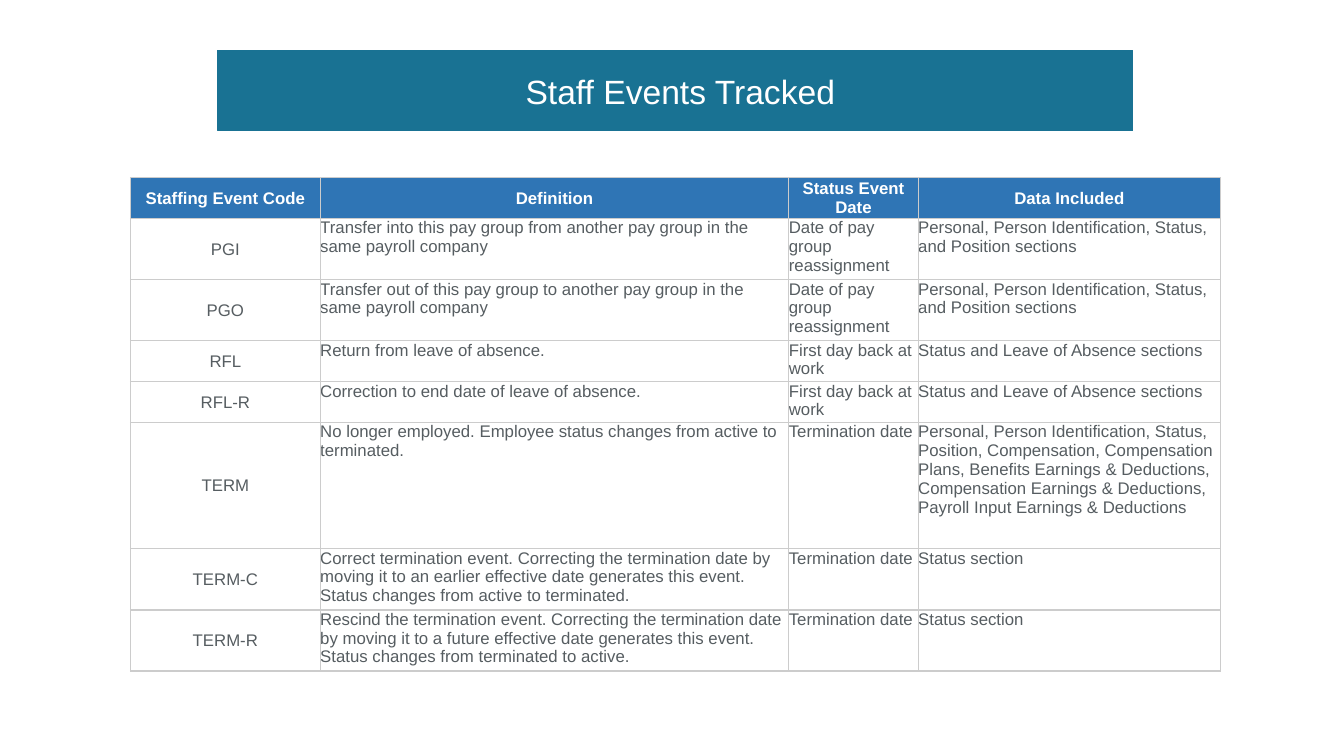
from dataclasses import dataclass

from lxml import etree
from pptx import Presentation, util as u
from pptx.dml.color import RGBColor
from pptx.enum import text
from pptx.oxml import ns


@dataclass(frozen=True)
class Theme:
    """Colours, font and type sizes of the slide."""
    band: str = "197293"
    head: str = "2F75B5"
    body: str = "565D61"
    white: str = "FFFFFF"
    rule: str = "CCCCCC"
    font: str = "Arial"
    big: int = 24
    small: int = 12


THEME = Theme()
TITLE = "Staff Events Tracked"
HEADS = ("Staffing Event Code", "Definition", "Status Event Date", "Data Included")
GROUP = ("Date of pay group reassignment",
         "Personal, Person Identification, Status, and Position sections")
LEAVE = ("First day back at work", "Status and Leave of Absence sections")
TERM = "Termination date"
EVENTS = [
    ("PGI", "Transfer into this pay group from another pay group in the same "
     "payroll company", *GROUP),
    ("PGO", "Transfer out of this pay group to another pay group in the same "
     "payroll company", *GROUP),
    ("RFL", "Return from leave of absence.", *LEAVE),
    ("RFL-R", "Correction to end date of leave of absence.", *LEAVE),
    ("TERM", "No longer employed. Employee status changes from active to terminated.",
     TERM, "Personal, Person Identification, Status, Position, Compensation, "
     "Compensation Plans, Benefits Earnings & Deductions, Compensation Earnings "
     "& Deductions, Payroll Input Earnings & Deductions"),
    ("TERM-C", "Correct termination event. Correcting the termination date by moving "
     "it to an earlier effective date generates this event. Status changes from "
     "active to terminated.", TERM, "Status section"),
    ("TERM-R", "Rescind the termination event. Correcting the termination date by "
     "moving it to a future effective date generates this event. Status changes from "
     "terminated to active.", TERM, "Status section"),
]
WIDTHS = (4.78, 11.81, 3.26, 7.62)
TWO, THREE, TALL = 1.03, 1.54, 3.18
HEIGHTS = (TWO, THREE, THREE, TWO, TWO, TALL, THREE, THREE)


def paint(fill, tone):
    """Give a fill one solid colour."""
    fill.solid()
    fill.fore_color.rgb = RGBColor.from_string(tone)


def write(frame, words, size, tone, bold=False, mid=True):
    """Put words into a text frame and format them."""
    frame.text = words
    para = frame.paragraphs[0]
    para.alignment = text.PP_ALIGN.CENTER if mid else text.PP_ALIGN.LEFT
    font = para.runs[0].font
    font.name, font.size, font.bold = THEME.font, u.Pt(size), bold
    font.color.rgb = RGBColor.from_string(tone)


def edge(cell):
    """Draw a thin rule on all four sides of a cell."""
    props = cell._tc.get_or_add_tcPr()
    for spot, side in enumerate(("lnL", "lnR", "lnT", "lnB")):
        line = etree.Element(ns.qn("a:" + side), w=str(u.Pt(1)))
        fill = etree.SubElement(line, ns.qn("a:solidFill"))
        etree.SubElement(fill, ns.qn("a:srgbClr"), val=THEME.rule)
        props.insert(spot, line)


def add_title(slide):
    """Turn the title placeholder into the coloured band."""
    band = slide.shapes.title
    band.left, band.top = u.Cm(5.49), u.Cm(1.27)
    band.width, band.height = u.Cm(23.06), u.Cm(2.03)
    paint(band.fill, THEME.band)
    paint(band.line.fill, THEME.band)
    band.line.width = u.Pt(0.75)
    frame = band.text_frame
    write(frame, TITLE, THEME.big, THEME.white)
    frame.auto_size = text.MSO_AUTO_SIZE.NONE
    frame.vertical_anchor = text.MSO_ANCHOR.MIDDLE
    frame.margin_left, frame.margin_right = u.Cm(0.25), 0
    frame.margin_top = frame.margin_bottom = u.Cm(0.13)


def add_events(slide):
    """Add the table of events under the title."""
    rows = [HEADS, *EVENTS]
    grid = slide.shapes.add_table(
        len(rows), len(HEADS), u.Cm(3.29), u.Cm(4.48),
        u.Cm(sum(WIDTHS)), u.Cm(sum(HEIGHTS))).table
    for col, width in zip(grid.columns, WIDTHS):
        col.width = u.Cm(width)
    for row, height in zip(grid.rows, HEIGHTS):
        row.height = u.Cm(height)
    for r, row in enumerate(rows):
        for c, words in enumerate(row):
            cell, head = grid.cell(r, c), r == 0
            mid = head or c == 0
            cell.margin_left = cell.margin_right = 0
            cell.margin_top = cell.margin_bottom = 0
            cell.vertical_anchor = text.MSO_ANCHOR.MIDDLE if mid else text.MSO_ANCHOR.TOP
            paint(cell.fill, THEME.head if head else THEME.white)
            write(cell.text_frame, words, THEME.small,
                  THEME.white if head else THEME.body, head, mid)
            edge(cell)


def main():
    """Build and save the slide."""
    deck = Presentation()
    deck.slide_width, deck.slide_height = u.Cm(33.87), u.Cm(19.05)
    slide = deck.slides.add_slide(deck.slide_layouts.get_by_name("Title Only"))
    add_title(slide)
    add_events(slide)
    deck.save("out.pptx")


main()
